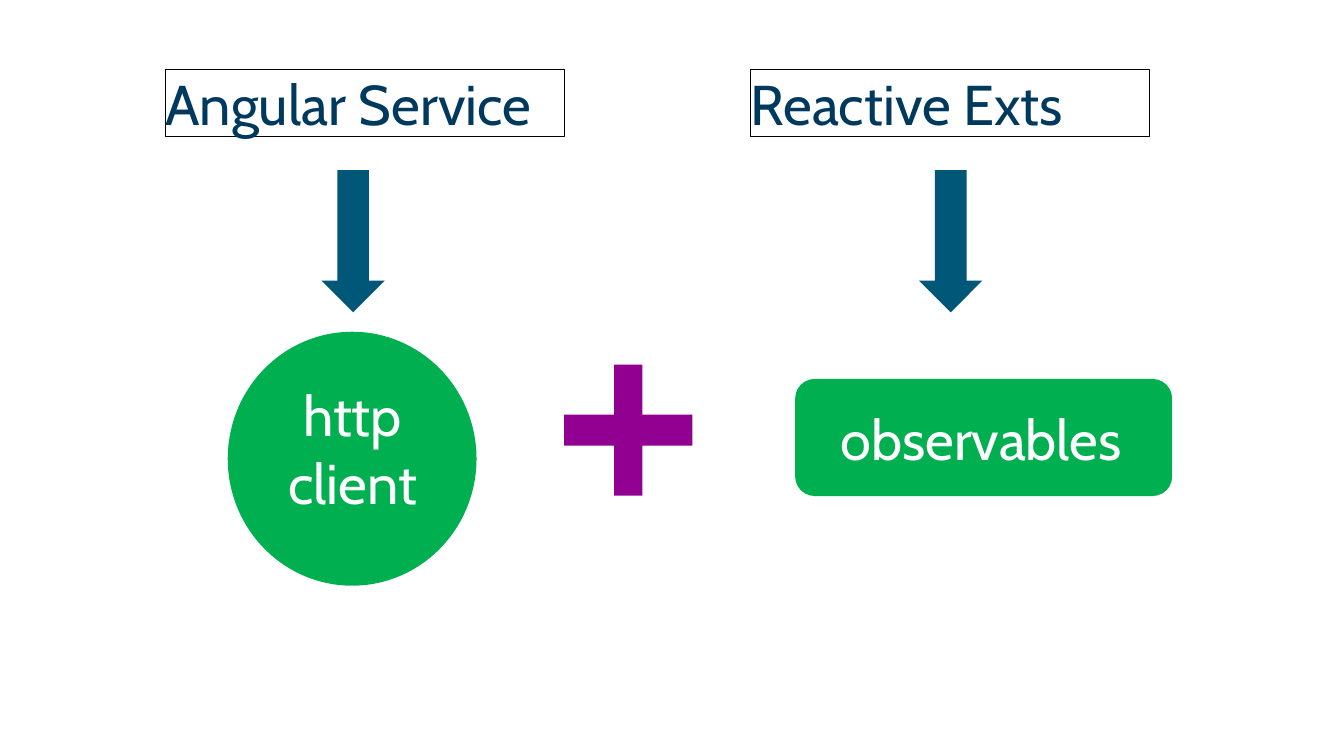
from dataclasses import dataclass

from pptx import Presentation
from pptx import util as u
from pptx.dml.color import RGBColor
from pptx.enum import shapes, text

FONT = "Cabin"
NAVY, TEAL, GREEN, PURPLE = "00395E", "005778", "00B050", "910091"
WHITE, BLACK = "FFFFFF", "000000"
GEO = shapes.MSO_SHAPE


@dataclass
class Box:
    left: float
    top: float
    width: float
    height: float

    def emu(self) -> tuple:
        return tuple(u.Cm(v) for v in (self.left, self.top, self.width, self.height))


@dataclass
class Figure:
    kind: GEO
    box: Box
    fill: str


@dataclass
class Label:
    lines: list[str]
    box: Box
    color: str = WHITE
    align: text.PP_ALIGN = text.PP_ALIGN.LEFT
    framed: bool = False


def rgb(value: str) -> RGBColor:
    return RGBColor.from_string(value)


def draw_figure(s, figure: Figure):
    sp = s.shapes.add_shape(figure.kind, *figure.box.emu())
    sp.shadow.inherit = False
    sp.fill.solid()
    sp.fill.fore_color.rgb = rgb(figure.fill)
    sp.line.fill.background()
    return sp


def draw_label(s, label: Label) -> None:
    sp = s.shapes.add_textbox(*label.box.emu())
    if label.framed:
        sp.line.color.rgb = rgb(BLACK)
        sp.line.width = u.Pt(0.75)
    tf = sp.text_frame
    tf.word_wrap = True
    tf.auto_size = text.MSO_AUTO_SIZE.SHAPE_TO_FIT_TEXT
    tf.margin_left = tf.margin_top = tf.margin_right = tf.margin_bottom = 0
    for i, line in enumerate(label.lines):
        p = tf.add_paragraph() if i else tf.paragraphs[0]
        p.alignment = label.align
        r = p.add_run()
        r.text = line
        r.font.name = FONT
        r.font.size = u.Pt(40)
        r.font.color.rgb = rgb(label.color)


def heading(title: str, left: float) -> Label:
    return Label([title], Box(left, 1.75, 10.06, 1.7), NAVY, framed=True)


def arrow(left: float) -> Figure:
    return Figure(GEO.DOWN_ARROW, Box(left, 4.29, 1.6, 3.58), TEAL)


FIGURES = [
    arrow(8.1),
    arrow(23.16),
    Figure(GEO.OVAL, Box(5.74, 8.36, 6.27, 6.4), GREEN),
    Figure(GEO.ROUNDED_RECTANGLE, Box(20.04, 9.55, 9.5, 2.95), GREEN),
]
PLUS = Figure(GEO.CROSS, Box(14.22, 9.19, 3.23, 3.3), PURPLE)
LABELS = [
    heading("Angular Service", 4.17),
    heading("Reactive Exts", 18.92),
    Label(["http", "client"], Box(6.6, 9.6, 4.57, 3.43), align=text.PP_ALIGN.CENTER),
    Label(["observables"], Box(21.18, 10.19, 7.57, 1.7)),
]


def main() -> None:
    prs = Presentation()
    prs.slide_width, prs.slide_height = u.Cm(33.87), u.Cm(19.05)
    s = prs.slides.add_slide(prs.slide_layouts[6])

    # Arrows, circle and rounded box
    for figure in FIGURES:
        draw_figure(s, figure)

    # Plus sign with slim arms
    draw_figure(s, PLUS).adjustments[0] = 0.39

    # Headings and captions
    for label in LABELS:
        draw_label(s, label)

    prs.save("out.pptx")


if __name__ == "__main__":
    main()
